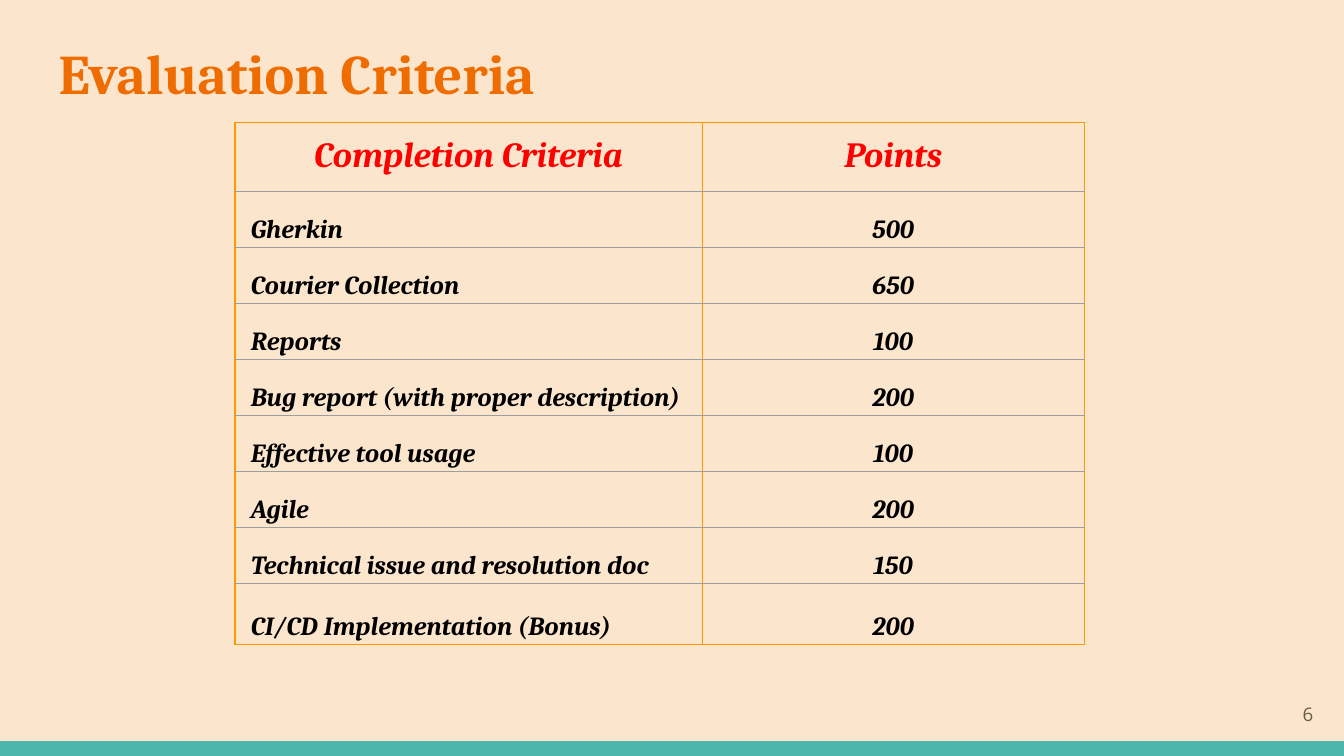
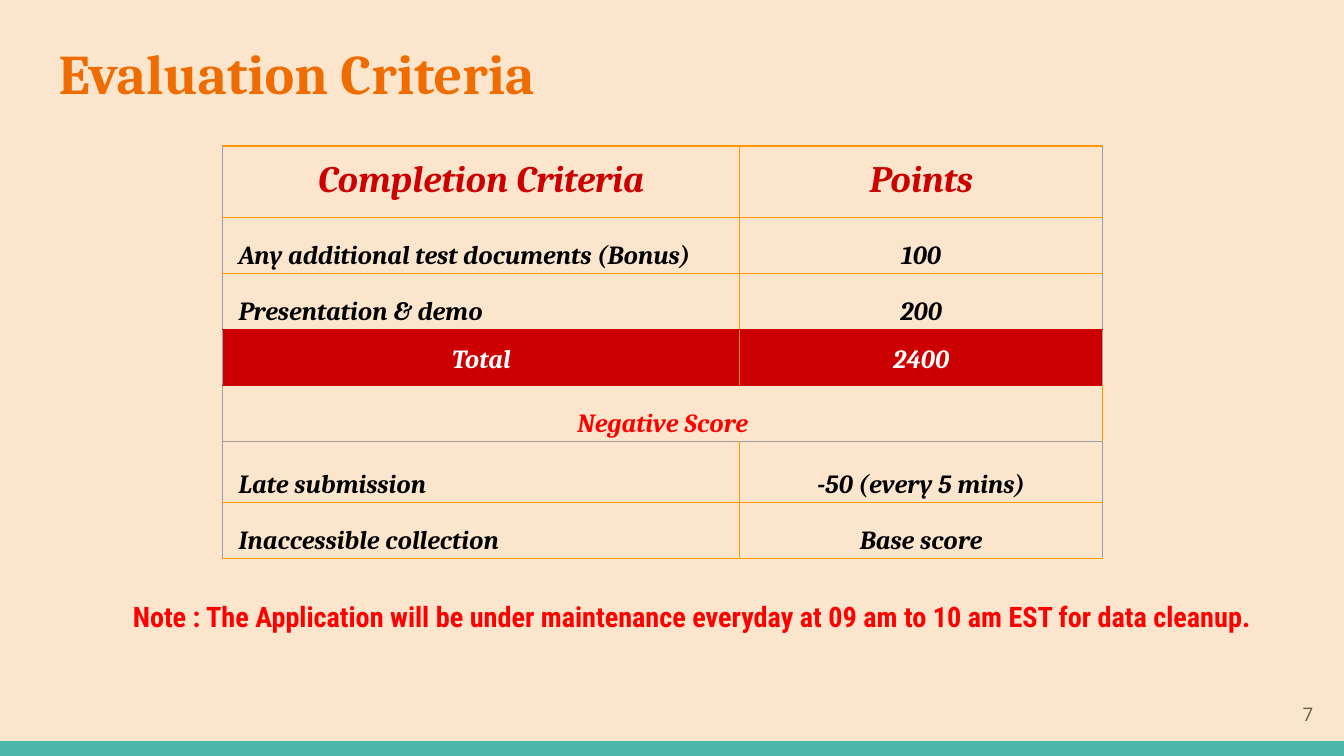
import pptx
import pptx.dml.color
import pptx.enum.shapes
import pptx.enum.text
import pptx.oxml
import pptx.oxml.ns
import pptx.util

Cm = pptx.util.Cm
Pt = pptx.util.Pt
ALIGN = pptx.enum.text.PP_ALIGN
ANCHOR = pptx.enum.text.MSO_ANCHOR

CREAM, TEAL, ORANGE, BROWN = "FCE5CD", "4DB6AC", "EF6C00", "695D46"
RED, DARK_RED, BLACK, WHITE = "FF0000", "CC0000", "000000", "FFFFFF"
AMBER, GRAY = "FF9900", "9E9E9E"
SERIF, SANS, NARROW = "Cambria", "Open Sans", "Roboto Condensed"
WIDTH, HEIGHT, BAND = Cm(25.4), Cm(14.29), Cm(0.28)
INSET = Cm(0.25)
ROW, TALL_ROW = 1.06, 1.15

HEADINGS = ("Completion Criteria", "Points")
CRITERIA = [
    HEADINGS,
    ("Gherkin", "500"),
    ("Courier Collection", "650"),
    ("Reports", "100"),
    ("Bug report (with proper description)", "200"),
    ("Effective tool usage", "100"),
    ("Agile", "200"),
    ("Technical issue and resolution doc", "150"),
    ("CI/CD Implementation (Bonus)", "200"),
]
TOTALS = [
    HEADINGS,
    ("Any additional test documents (Bonus)", "100"),
    ("Presentation & demo", "200"),
    ("Total", "2400"),
    ("Negative Score",),
    ("Late submission", "-50 (every 5 mins)"),
    ("Inaccessible collection", "Base score"),
]
NOTE = ("Note : The Application will be under maintenance everyday "
        "at 09 am to 10 am EST for data cleanup.")


def colour(value):
    return pptx.dml.color.RGBColor.from_string(value)


def paint(target, value):
    target.fill.solid()
    target.fill.fore_color.rgb = colour(value)


def write(frame, text, font, size, value, bold=True, italic=False,
          align=ALIGN.LEFT):
    para = frame.paragraphs[0]
    para.text = text
    para.alignment = align
    para.font.name = font
    para.font.size = Pt(size)
    para.font.bold = bold
    para.font.italic = italic
    para.font.color.rgb = colour(value)
    return para


def set_margins(target, across, down):
    target.margin_left = target.margin_right = across
    target.margin_top = target.margin_bottom = down


def add_text(page, place, text, font, size, value, anchor=ANCHOR.TOP, **style):
    box = page.shapes.add_textbox(*map(Cm, place))
    frame = box.text_frame
    frame.word_wrap = True
    frame.vertical_anchor = anchor
    set_margins(frame, INSET, INSET)
    write(frame, text, font, size, value, **style)


def add_page(deck, title, number):
    page = deck.slides.add_slide(deck.slide_layouts[6])
    band = page.shapes.add_shape(pptx.enum.shapes.MSO_SHAPE.RECTANGLE,
                                 0, HEIGHT - BAND, WIDTH, BAND)
    band.shadow.inherit = False
    band.line.fill.background()
    paint(band, TEAL)
    add_text(page, (0.86, 0.48, 23.67, 1.96), title, SERIF, 30, ORANGE)
    add_text(page, (23.55, 12.95, 1.52, 1.09), str(number), SANS, 10, BROWN,
             anchor=ANCHOR.MIDDLE, bold=False, align=ALIGN.RIGHT)
    return page


def add_border(cell, side, value):
    cell._tc.get_or_add_tcPr().append(pptx.oxml.parse_xml(
        f'<a:{side} {pptx.oxml.ns.nsdecls("a")} w="{Pt(0.75)}">'
        f'<a:solidFill><a:srgbClr val="{value}"/></a:solidFill></a:{side}>'))


def fill_cell(cell, text, first, kind, header):
    size, value = header if kind == "header" else (14, BLACK)
    align = ALIGN.CENTER
    cell.vertical_anchor = ANCHOR.BOTTOM
    set_margins(cell, Cm(0.08), Cm(0.05))
    cell.fill.background()
    if kind == "header":
        cell.vertical_anchor = ANCHOR.TOP
        set_margins(cell, INSET, INSET)
    elif kind == "total":
        cell.vertical_anchor = ANCHOR.MIDDLE
        value = WHITE
        paint(cell, DARK_RED)
    elif kind == "section":
        value = RED
    elif first:
        align = ALIGN.LEFT
        cell.margin_left = Cm(0.3)
    para = write(cell.text_frame, text, SERIF, size, value,
                 italic=True, align=align)
    if kind != "header":
        para.line_spacing = 1.15


def row_kind(index, entry):
    if index == 0:
        return "header"
    if len(entry) == 1:
        return "section"
    return "total" if entry[0] == "Total" else "plain"


def add_score_table(page, corner, widths, entries, tall, header, across, down):
    heights = [TALL_ROW if index == tall else ROW
               for index in range(len(entries))]
    table = page.shapes.add_table(
        len(entries), len(widths), *map(Cm, corner),
        Cm(sum(widths)), Cm(sum(heights))).table
    table.first_row = table.horz_banding = False
    for column, width in zip(table.columns, widths):
        column.width = Cm(width)
    for index, entry in enumerate(entries):
        table.rows[index].height = Cm(heights[index])
        kind = row_kind(index, entry)
        for position in range(len(widths)):
            cell = table.cell(index, position)
            add_border(cell, "lnL", down[position])
            add_border(cell, "lnR", down[position + 1])
            add_border(cell, "lnT", across[index])
            add_border(cell, "lnB", across[index + 1])
            cell.fill.background()
        if kind == "section":
            table.cell(index, 0).merge(table.cell(index, len(widths) - 1))
        for position, text in enumerate(entry):
            fill_cell(table.cell(index, position), text, position == 0,
                      kind, header)


def main():
    deck = pptx.Presentation()
    deck.slide_width, deck.slide_height = WIDTH, HEIGHT
    paint(deck.slide_master.background, CREAM)

    page = add_page(deck, "Evaluation Criteria", 6)
    add_score_table(page, (4.44, 2.31), (8.83, 7.22), CRITERIA, 8, (19, RED),
                    across=[AMBER] + [GRAY] * 8 + [AMBER], down=[AMBER] * 3)

    page = add_page(deck, "Evaluation Criteria", 7)
    add_text(page, (2.26, 11.07, 21.84, 1.7), NOTE, NARROW, 15.1, RED)
    add_score_table(page, (4.21, 2.76), (9.77, 6.86), TOTALS, 5,
                    (20, DARK_RED),
                    across=[AMBER] * 3 + [DARK_RED] * 2 + [GRAY] + [AMBER] * 2,
                    down=[GRAY, AMBER, GRAY])
    deck.save("out.pptx")


if __name__ == "__main__":
    main()
